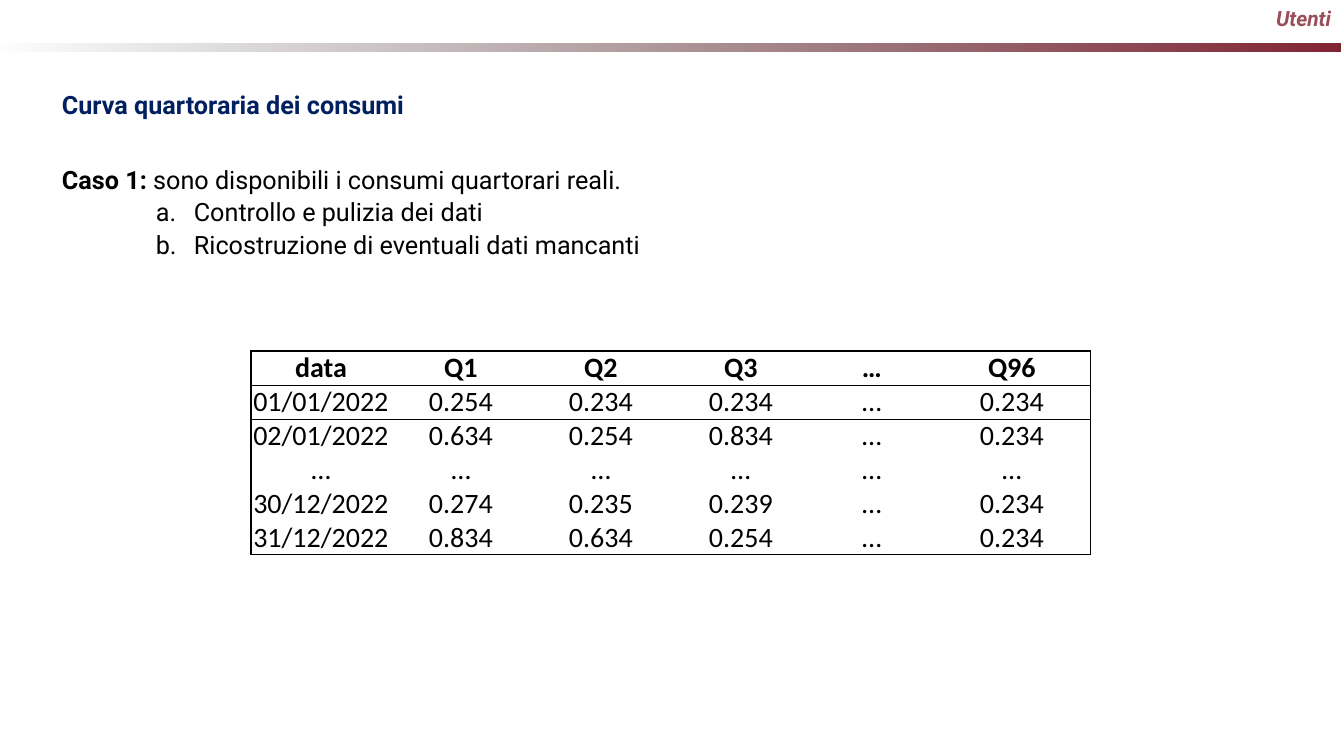
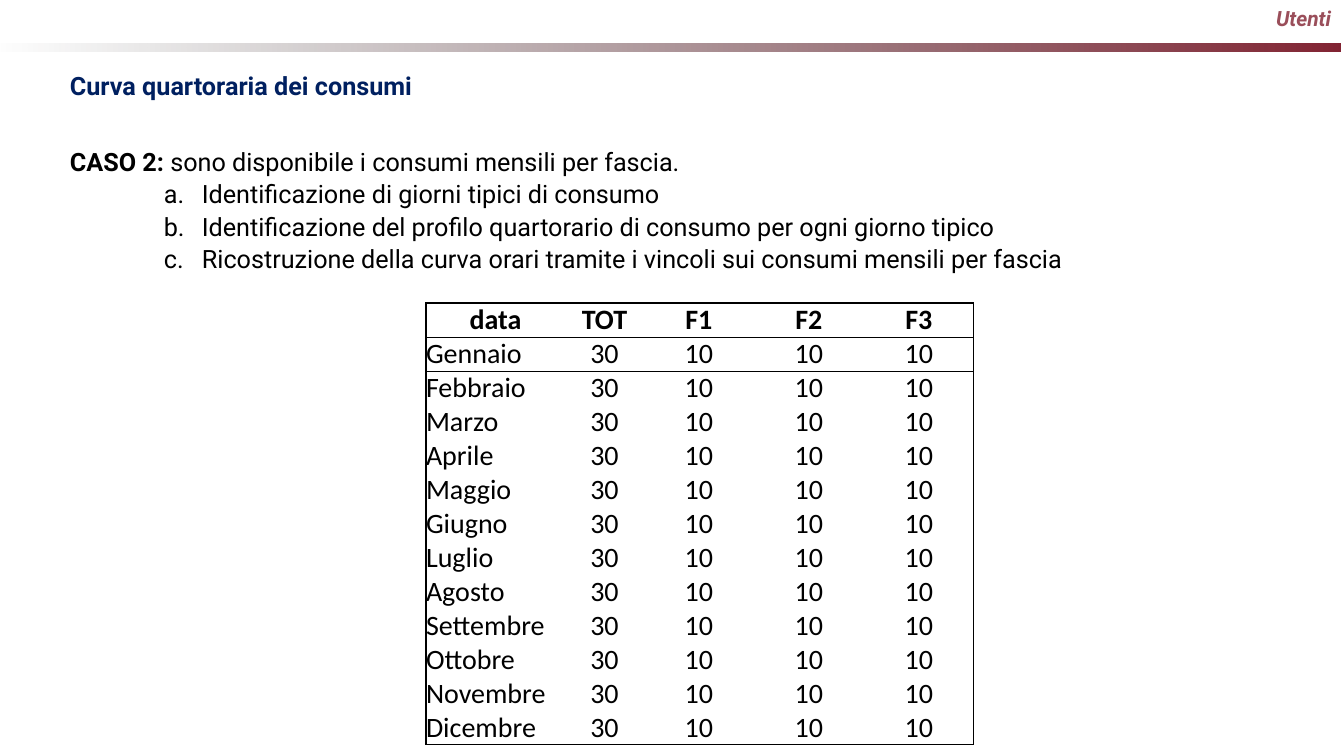
import pptx
import pptx.dml.color
import pptx.enum.shapes
import pptx.enum.text
import pptx.oxml
import pptx.oxml.ns
import pptx.util
from dataclasses import dataclass
from lxml import etree

SCALE = 914400 / 100.8
ALIGN = pptx.enum.text.PP_ALIGN
QN = pptx.oxml.ns.qn


@dataclass(frozen=True)
class Theme:
    wine: str = "822433"
    rose: str = "9A4E5A"
    navy: str = "002060"
    ink: str = "000000"
    fade: str = "383838"
    font: str = "Roboto"
    grid: str = "Calibri"
    tag: int = 15
    body: int = 18
    cell: int = 20
    rule: float = 1
    thin: float = 0.5
    plain: str = "{2D5ABB26-0587-4C30-8999-92F81FD0307C}"


def px(value):
    return pptx.util.Emu(round(value * SCALE))


def rgb(code):
    return pptx.dml.color.RGBColor.from_string(code)


def write(para, text, size, color, font, bold=False, italic=False):
    run = para.add_run()
    run.text = text
    run.font.size = pptx.util.Pt(size)
    run.font.name = font
    run.font.bold = bold
    run.font.italic = italic
    run.font.color.rgb = rgb(color)


class Deck:
    def __init__(self, theme):
        self.theme = theme
        self.file = pptx.Presentation()
        self.file.slide_width = px(1344)
        self.file.slide_height = px(756)
        self.slide = None

    def start(self, tag):
        self.slide = self.file.slides.add_slide(self.file.slide_layouts[6])
        self.band()
        frame = self.box(259, 3, 1082, 41)
        para = self.line(frame, align=ALIGN.RIGHT)
        write(para, tag, self.theme.tag, self.theme.rose, self.theme.font,
              bold=True, italic=True)

    def band(self):
        kind = pptx.enum.shapes.MSO_SHAPE.RECTANGLE
        shape = self.slide.shapes.add_shape(kind, px(-11), px(44), px(1352), px(8))
        shape.shadow.inherit = False
        shape.line.fill.background()
        shape.fill.gradient()
        shape.fill.gradient_angle = 180
        first, last = shape.fill.gradient_stops
        first.color.rgb = rgb(self.theme.wine)
        first.position = 0
        last.color.rgb = rgb(self.theme.fade)
        last.position = 1
        tint = shape.fill._xPr.findall(".//" + QN("a:srgbClr"))[-1]
        etree.SubElement(tint, QN("a:alpha"), val="0")

    def box(self, left, top, width, height):
        shape = self.slide.shapes.add_textbox(px(left), px(top), px(width), px(height))
        shape.text_frame.word_wrap = True
        return shape.text_frame

    def line(self, frame, before=7.5, lead=0.9, align=ALIGN.LEFT):
        para = frame.paragraphs[0]
        if para.runs:
            para = frame.add_paragraph()
        para.space_before = pptx.util.Pt(before)
        para.line_spacing = lead
        para.alignment = align
        return para

    def case(self, left, top, height, lead, name, text, steps):
        look = self.theme
        frame = self.box(left, top, 1260, height)
        write(self.line(frame, lead=lead), "Curva quartoraria dei consumi",
              look.body, look.navy, look.font, bold=True)
        para = self.line(frame, before=34.5)
        write(para, name, look.body, look.ink, look.font, bold=True)
        write(para, " " + text, look.body, look.ink, look.font)
        for step in steps:
            para = self.line(frame, before=3.8)
            props = para._p.get_or_add_pPr()
            props.set("marL", str(px(132)))
            props.set("indent", str(px(-38)))
            etree.SubElement(props, QN("a:buFont"), typeface="+mj-lt")
            etree.SubElement(props, QN("a:buAutoNum"), type="alphaLcPeriod")
            write(para, step, look.body, look.ink, look.font)

    def edge(self, cell, side, width):
        line = etree.SubElement(cell._tc.get_or_add_tcPr(), QN("a:ln" + side),
                                w=str(pptx.util.Pt(width)))
        fill = etree.SubElement(line, QN("a:solidFill"))
        etree.SubElement(fill, QN("a:srgbClr"), val=self.theme.ink)

    def table(self, left, top, cols, rows, names=ALIGN.CENTER):
        look = self.theme
        high = 34
        frame = self.slide.shapes.add_table(len(rows), len(cols), px(left), px(top),
                                            px(sum(cols)), px(high * len(rows)))
        table = frame.table
        table.first_row = False
        table.horz_banding = False
        table._tbl.tblPr.find(QN("a:tableStyleId")).text = look.plain
        for col, width in zip(table.columns, cols):
            col.width = px(width)
        for r, row in enumerate(rows):
            table.rows[r].height = px(high)
            for c, text in enumerate(row):
                cell = table.cell(r, c)
                cell.margin_left = cell.margin_right = 0
                cell.margin_top = cell.margin_bottom = 0
                cell.vertical_anchor = pptx.enum.text.MSO_ANCHOR.BOTTOM
                para = cell.text_frame.paragraphs[0]
                para.alignment = names if r and not c else ALIGN.CENTER
                write(para, text, look.cell, look.ink, look.grid, bold=r == 0)
                if c == 0:
                    self.edge(cell, "L", look.rule)
                if c == len(cols) - 1:
                    self.edge(cell, "R", look.rule)
                if r < 2:
                    self.edge(cell, "T", look.thin if r else look.rule)
                if r in (0, len(rows) - 1):
                    self.edge(cell, "B", look.rule if r else look.thin)
                cell.fill.background()


deck = Deck(Theme())

deck.start("Utenti")
deck.case(52, 93, 202, 0.7, "Caso 1:", "sono disponibili i consumi quartorari reali.",
          ["Controllo e pulizia dei dati", "Ricostruzione di eventuali dati mancanti"])
deck.table(251, 351, [140, 140, 140, 140, 122, 158], [
    ["data", "Q1", "Q2", "Q3", "…", "Q96"],
    ["01/01/2022", "0.254", "0.234", "0.234", "…", "0.234"],
    ["02/01/2022", "0.634", "0.254", "0.834", "…", "0.234"],
    ["…"] * 6,
    ["30/12/2022", "0.274", "0.235", "0.239", "…", "0.234"],
    ["31/12/2022", "0.834", "0.634", "0.254", "…", "0.234"],
])

deck.start("Utenti")
deck.case(60, 69, 230, 0.9, "CASO 2:", "sono disponibile i consumi mensili per fascia.", [
    "Identificazione di giorni tipici di consumo",
    "Identificazione del profilo quartorario di consumo per ogni giorno tipico",
    "Ricostruzione della curva orari tramite i vincoli sui consumi mensili per fascia",
])
months = ["Gennaio", "Febbraio", "Marzo", "Aprile", "Maggio", "Giugno", "Luglio",
          "Agosto", "Settembre", "Ottobre", "Novembre", "Dicembre"]
deck.table(426, 303, [139, 79, 110, 110, 110],
           [["data", "TOT", "F1", "F2", "F3"]]
           + [[month, "30", "10", "10", "10"] for month in months],
           names=ALIGN.LEFT)

deck.file.save("out.pptx")
